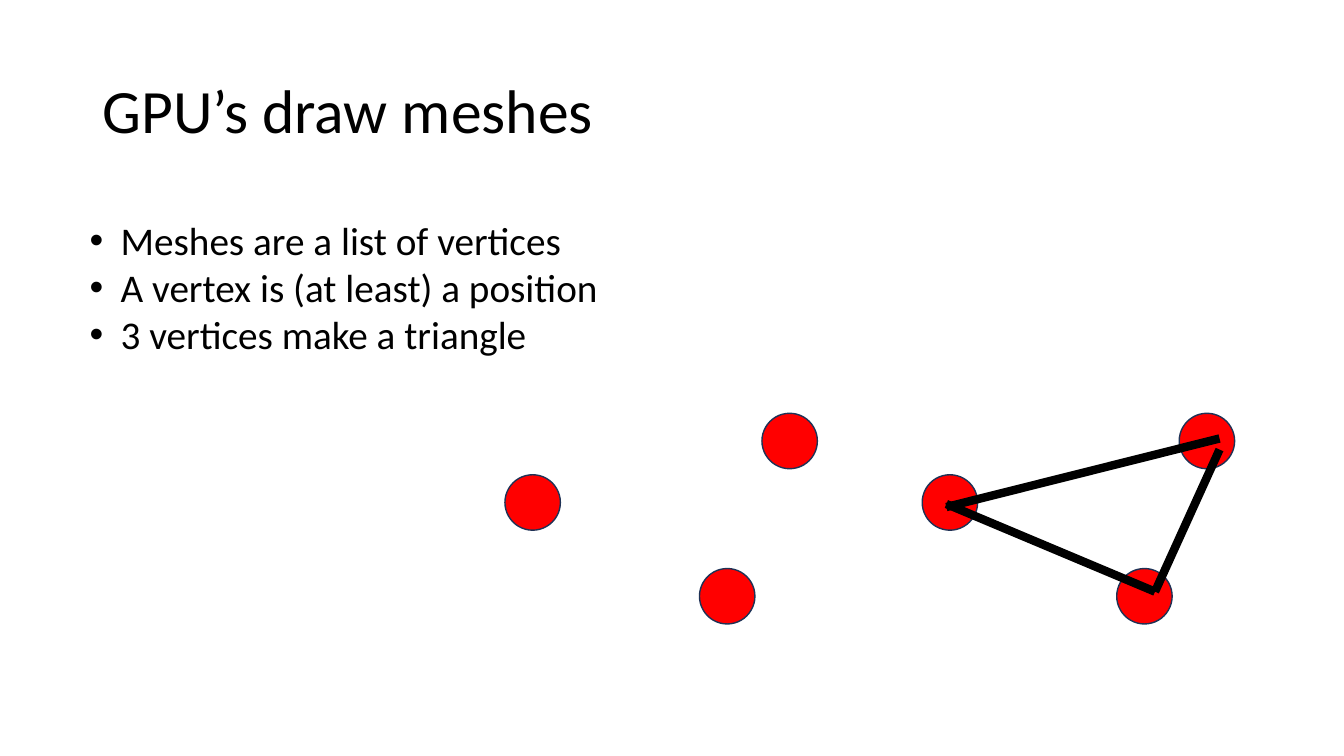
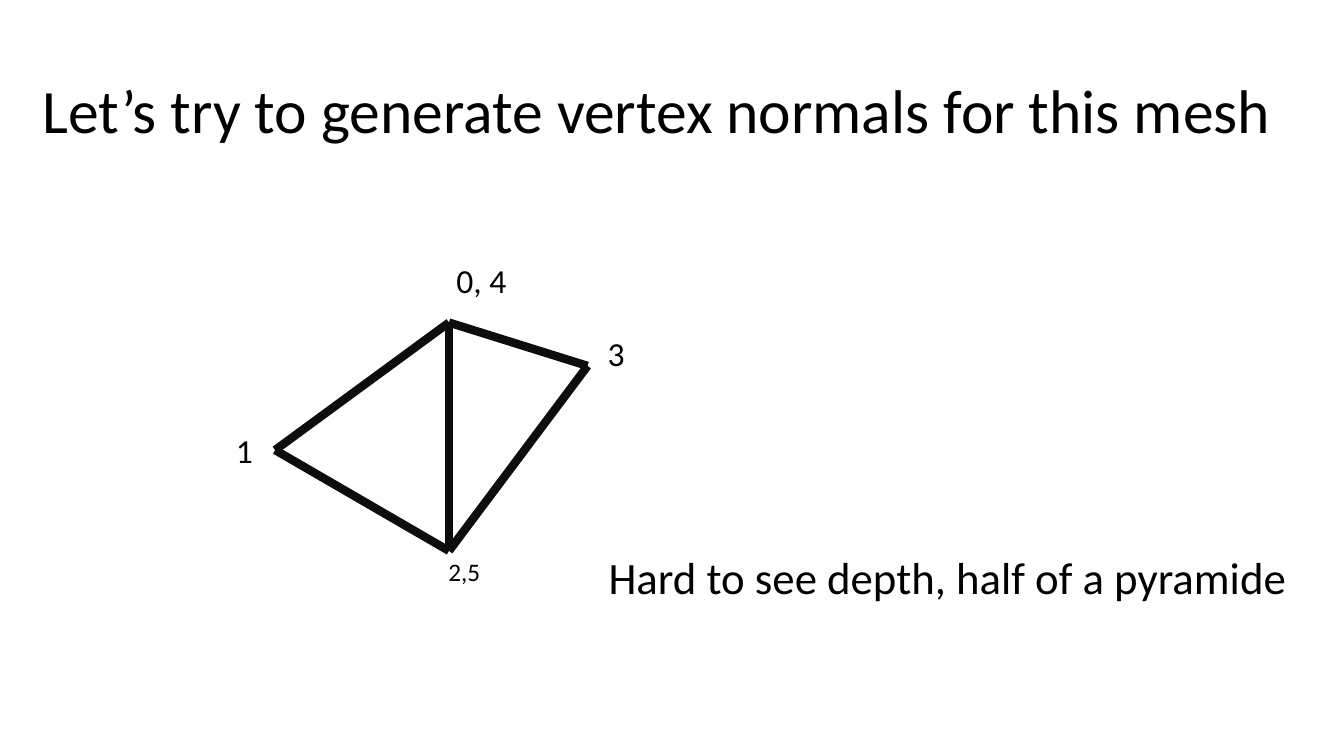
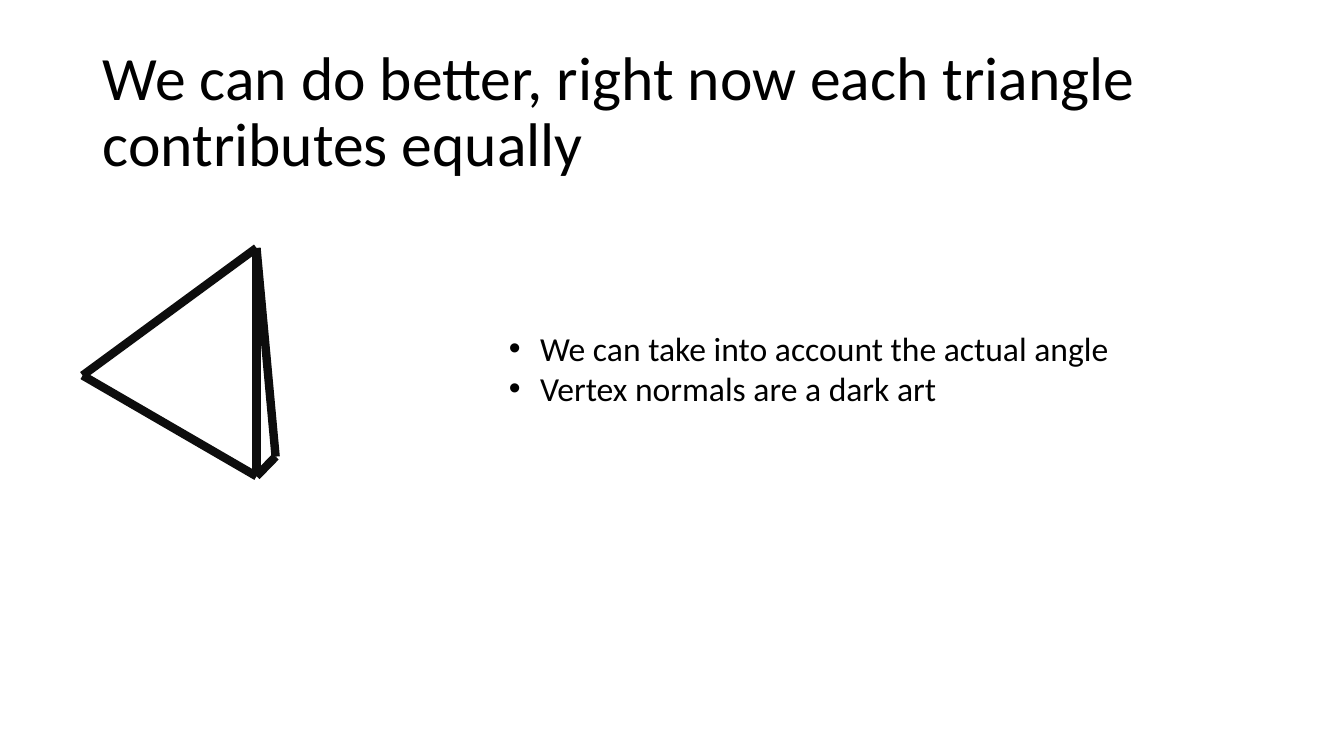
from dataclasses import dataclass

from lxml.etree import SubElement
from pptx import Presentation
from pptx.dml.color import RGBColor
from pptx.enum.shapes import MSO_CONNECTOR, MSO_SHAPE
from pptx.enum.text import MSO_ANCHOR, MSO_AUTO_SIZE
from pptx.oxml.ns import qn
from pptx.slide import Slide
from pptx.util import Inches, Length, Pt

BLACK = RGBColor(0x00, 0x00, 0x00)
MESH_BLACK = RGBColor(0x0D, 0x0D, 0x0D)
RED = RGBColor(0xFF, 0x00, 0x00)
NAVY = RGBColor(0x1E, 0x32, 0x56)
FONT = "Calibri"

CELL = Inches(0.5)
COLUMNS, ROWS = 26.67, 15
VERTEX_SIZE = 1.1
BULLET_INDENT = 0.62


@dataclass(frozen=True)
class Point:
    """A place on the slide, in columns and rows."""

    column: float
    row: float

    def moved(self, columns: float, rows: float) -> "Point":
        return Point(self.column + columns, self.row + rows)


@dataclass(frozen=True)
class Box:
    column: float
    row: float
    columns: float
    rows: float


@dataclass(frozen=True)
class Label:
    text: str
    box: Box
    size: int
    margin: float = 0.2


TITLE_BOX = Box(1.84, 0.8, 23, 2.9)
WIDE_TITLE_BOX = Box(0.64, 0.8, 25.24, 2.9)


def cells(count: float) -> Length:
    return Length(round(count * CELL))


def add_text(slide: Slide, lines: list[str], box: Box, *, size: int,
             bullets: bool = False, wrap: bool = False, margin: float = 0.2,
             anchor: MSO_ANCHOR = MSO_ANCHOR.TOP, line_spacing: float = 1,
             auto_size: MSO_AUTO_SIZE = MSO_AUTO_SIZE.SHAPE_TO_FIT_TEXT) -> None:
    shape = slide.shapes.add_textbox(
        cells(box.column), cells(box.row), cells(box.columns), cells(box.rows))
    frame = shape.text_frame
    frame.word_wrap = wrap
    frame.auto_size = auto_size
    frame.vertical_anchor = anchor
    frame.margin_left = frame.margin_right = cells(margin)
    frame.text = "\n".join(lines)
    for paragraph in frame.paragraphs:
        if bullets:
            add_bullet(paragraph)
        paragraph.line_spacing = line_spacing
        for run in paragraph.runs:
            run.font.name = FONT
            run.font.size = Pt(size)
            run.font.color.rgb = BLACK


def add_bullet(paragraph) -> None:
    properties = paragraph._p.get_or_add_pPr()
    indent = cells(BULLET_INDENT)
    properties.set("marL", str(indent))
    properties.set("indent", str(-indent))
    SubElement(properties, qn("a:buFont"), typeface="Arial")
    SubElement(properties, qn("a:buChar"), char="•")


def add_title(slide: Slide, text: str, box: Box = TITLE_BOX) -> None:
    add_text(slide, [text], box, size=44, wrap=True, anchor=MSO_ANCHOR.MIDDLE,
             line_spacing=0.9, auto_size=MSO_AUTO_SIZE.NONE)


def add_vertex(slide: Slide, corner: Point) -> None:
    size = cells(VERTEX_SIZE)
    shape = slide.shapes.add_shape(
        MSO_SHAPE.OVAL, cells(corner.column), cells(corner.row), size, size)
    shape.shadow.inherit = False
    shape.fill.solid()
    shape.fill.fore_color.rgb = RED
    shape.line.color.rgb = NAVY
    shape.line.width = Pt(1)


def add_edge(slide: Slide, start: Point, end: Point, color: RGBColor) -> None:
    edge = slide.shapes.add_connector(
        MSO_CONNECTOR.STRAIGHT, cells(start.column), cells(start.row),
        cells(end.column), cells(end.row))
    edge.line.color.rgb = color
    edge.line.width = Pt(6)
    SubElement(edge._element.spPr, qn("a:effectLst"))


def add_half_pyramid(slide: Slide, origin: Point, right: Point) -> None:
    """Draw two triangles that share a vertical edge."""
    left = origin.moved(0, 2.53)
    top = origin.moved(3.45, 0)
    bottom = origin.moved(3.45, 4.53)
    for start, end in ((left, top), (bottom, top), (bottom, right),
                       (top, right), (left, bottom)):
        add_edge(slide, start, end, MESH_BLACK)


def build_meshes_slide(slide: Slide) -> None:
    add_title(slide, "GPU’s draw meshes")
    add_text(slide, ["Meshes are a list of vertices",
                     "A vertex is (at least) a position",
                     "3 vertices make a triangle"],
             Box(1.58, 4.2, 10.6, 3.02), size=28, bullets=True)
    vertices = (Point(15.12, 8.2), Point(13.88, 11.28), Point(10.02, 9.42))
    for group_shift in (0, 8.28):
        for vertex in vertices:
            add_vertex(slide, vertex.moved(group_shift, 0))
    bottom = Point(22.92, 11.74)
    for start, end in ((Point(18.78, 10.06), Point(24.2, 8.7)),
                       (bottom, Point(24.2, 8.92)),
                       (Point(18.78, 10), bottom)):
        add_edge(slide, start, end, BLACK)


def build_normals_slide(slide: Slide) -> None:
    add_title(slide, "Let’s try to generate vertex normals for this mesh",
              WIDE_TITLE_BOX)
    add_half_pyramid(slide, Point(5.46, 6.4), Point(11.66, 7.26))
    for label in (
        Label("Hard to see depth, half of a pyramide", Box(11.88, 10.8, 14, 1.28), 32),
        Label("1", Box(4.68, 8.44, 0.34, 1), 24, margin=0),
        Label("2,5", Box(8.7, 10.94, 1.72, 0.8), 18),
        Label("0, 4", Box(8.86, 5.06, 1.86, 1), 24),
        Label("3", Box(12.06, 6.5, 0.34, 1), 24, margin=0),
    ):
        # Wrapping keeps the wider vertex labels at their left edge.
        add_text(slide, [label.text], label.box, size=label.size,
                 margin=label.margin, wrap=label.size == 18 or label.text == "0, 4")


def build_angles_slide(slide: Slide) -> None:
    add_title(slide, "We can do better, right now each triangle contributes equally")
    add_half_pyramid(slide, Point(1.64, 4.92), Point(5.47, 9.06))
    add_text(slide, ["We can take into account the actual angle",
                     "Vertex normals are a dark art"],
             Box(9.9, 6.4, 14.34, 1.82), size=24, bullets=True, wrap=True)


def main() -> None:
    presentation = Presentation()
    presentation.slide_width = cells(COLUMNS)
    presentation.slide_height = cells(ROWS)
    blank_layout = presentation.slide_layouts[6]
    for build in (build_meshes_slide, build_normals_slide, build_angles_slide):
        build(presentation.slides.add_slide(blank_layout))
    presentation.save("out.pptx")


if __name__ == "__main__":
    main()
